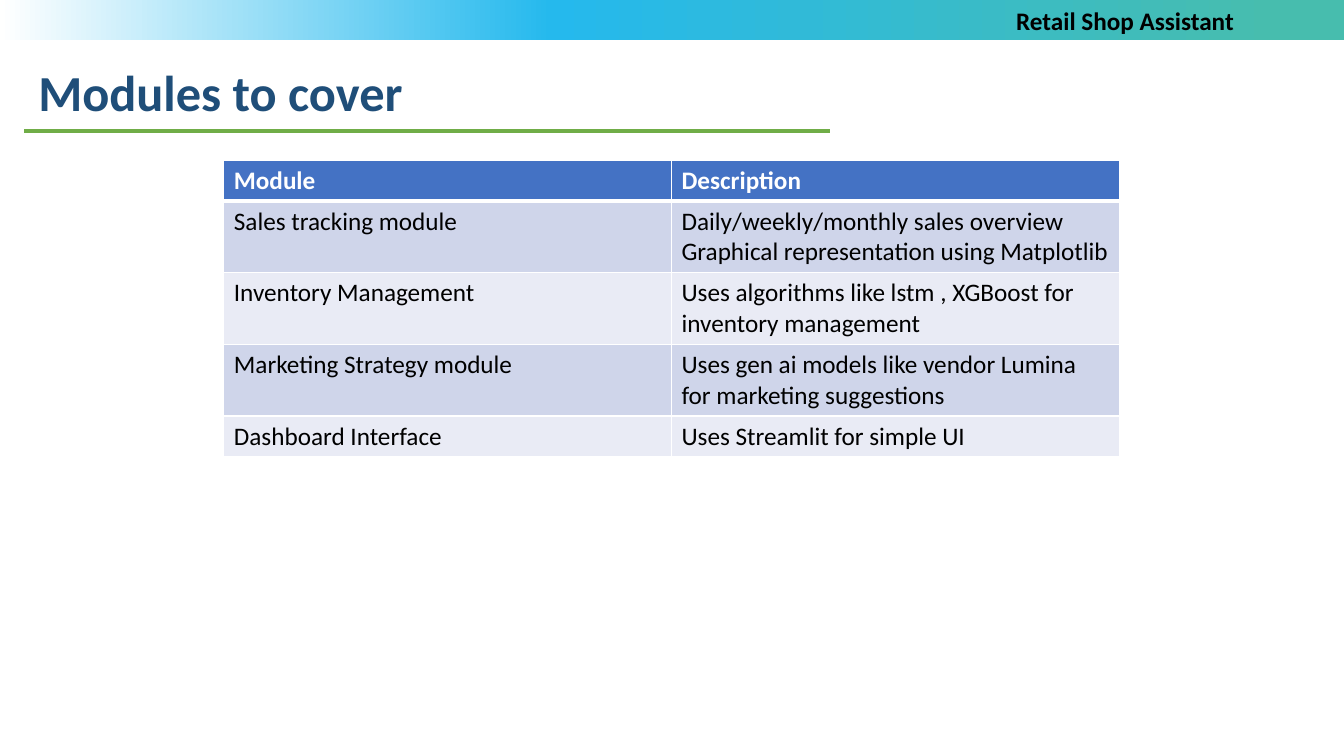
from copy import deepcopy

from pptx import Presentation
from pptx.dml.color import RGBColor
from pptx.enum.shapes import MSO_CONNECTOR, MSO_SHAPE
from pptx.enum.text import MSO_ANCHOR, MSO_AUTO_SIZE, PP_ALIGN
from pptx.oxml import parse_xml
from pptx.oxml.ns import nsdecls, qn
from pptx.util import Inches, Pt

TITLE = "Modules to cover"
PROJECT = "Retail Shop Assistant"
MODULES = [
    ("Module", "Description"),
    ("Sales tracking module",
     "Daily/weekly/monthly sales overview\nGraphical representation using Matplotlib"),
    ("Inventory Management",
     "Uses algorithms like lstm , XGBoost for inventory management"),
    ("Marketing Strategy module",
     "Uses gen ai models like vendor Lumina for marketing suggestions"),
    ("Dashboard Interface", "Uses Streamlit for simple UI"),
]
ROW_HEIGHTS = [0.4, 0.7, 0.7, 0.7, 0.4]
COL_WIDTH = 4.44

FONT = "Calibri"
BLACK = RGBColor(0x00, 0x00, 0x00)
WHITE = RGBColor(0xFF, 0xFF, 0xFF)
NAVY = RGBColor(0x1F, 0x4E, 0x79)
GREEN = RGBColor(0x70, 0xAD, 0x47)
HEADER_BLUE = RGBColor(0x44, 0x72, 0xC4)
BANDS = [RGBColor(0xE9, 0xEB, 0xF5), RGBColor(0xCF, 0xD5, 0xEA)]
BANNER_STOPS = [
    (0.05, RGBColor(0x47, 0xBD, 0xAE)),
    (0.59, RGBColor(0x25, 0xB9, 0xED)),
    (1.0, WHITE),
]
LEFT = PP_ALIGN.LEFT
TOP, MIDDLE = MSO_ANCHOR.TOP, MSO_ANCHOR.MIDDLE
RECT, STRAIGHT = MSO_SHAPE.RECTANGLE, MSO_CONNECTOR.STRAIGHT
NO_AUTOFIT = MSO_AUTO_SIZE.NONE


def write(tf, text, size, color, bold):
    tf.text = text
    for p in tf.paragraphs:
        p.alignment = LEFT
        for r in p.runs:
            r.font.name, r.font.size = FONT, Pt(size)
            r.font.color.rgb, r.font.bold = color, bold


def set_borders(cell, bottom):
    """Draw white cell borders, 1 pt wide except for the bottom one."""
    tcPr = cell._tc.get_or_add_tcPr()
    for i, (side, width) in enumerate(zip("LRTB", (1, 1, 1, bottom))):
        tcPr.insert(i, parse_xml(
            f'<a:ln{side} {nsdecls("a")} w="{Pt(width)}"><a:solidFill>'
            f'<a:srgbClr val="{WHITE}"/></a:solidFill></a:ln{side}>'))


def add_banner(s):
    sp = s.shapes.add_shape(RECT, 0, 0, prs.slide_width, Inches(0.4))
    sp.shadow.inherit = False
    sp.line.fill.background()
    sp.fill.gradient()
    sp.fill.gradient_angle = 180
    stops = sp._element.spPr.find(".//" + qn("a:gsLst"))
    stops.append(deepcopy(stops[-1]))
    for stop, (position, color) in zip(sp.fill.gradient_stops, BANNER_STOPS):
        stop.position, stop.color.rgb = position, color


def add_title(s):
    title = s.shapes.title
    title.left, title.top = Inches(0.28), Inches(0.55)
    title.width, title.height = Inches(11.62), Inches(0.71)
    tf = title.text_frame
    tf.auto_size, tf.vertical_anchor = NO_AUTOFIT, MIDDLE
    write(tf, TITLE, 36, NAVY, True)
    rule = s.shapes.add_connector(
        STRAIGHT, Inches(0.24), Inches(1.3), Inches(8.23), Inches(1.3))
    rule.line.color.rgb, rule.line.width = GREEN, Pt(2.25)
    rule._element.spPr.append(parse_xml(f'<a:effectLst {nsdecls("a")}/>'))


def add_module_table(s):
    table = s.shapes.add_table(
        len(MODULES), 2, Inches(2.22), Inches(1.59),
        Inches(2 * COL_WIDTH), Inches(sum(ROW_HEIGHTS))).table
    for col in table.columns:
        col.width = Inches(COL_WIDTH)
    for i, (row, height) in enumerate(zip(table.rows, ROW_HEIGHTS)):
        row.height = Inches(height)
        header = i == 0
        for cell, text in zip(row.cells, MODULES[i]):
            write(cell.text_frame, text, 18, WHITE if header else BLACK, header)
            cell.fill.solid()
            cell.fill.fore_color.rgb = HEADER_BLUE if header else BANDS[i % 2]
            # The second row's top edge must match the thick header edge.
            set_borders(cell, 3 if header else 1)
            if i == 1:
                cell._tc.tcPr.find(qn("a:lnT")).set("w", str(Pt(3)))


def add_project_name(s):
    tf = s.shapes.add_textbox(
        Inches(9.98), 0, Inches(3.36), Inches(0.71)).text_frame
    tf.word_wrap, tf.vertical_anchor = True, TOP
    write(tf, PROJECT, 18, BLACK, True)


prs = Presentation()
prs.slide_width, prs.slide_height = Inches(13.33), Inches(7.5)
slide = prs.slides.add_slide(prs.slide_layouts[5])
add_banner(slide)
add_title(slide)
add_module_table(slide)
add_project_name(slide)
prs.save("out.pptx")
